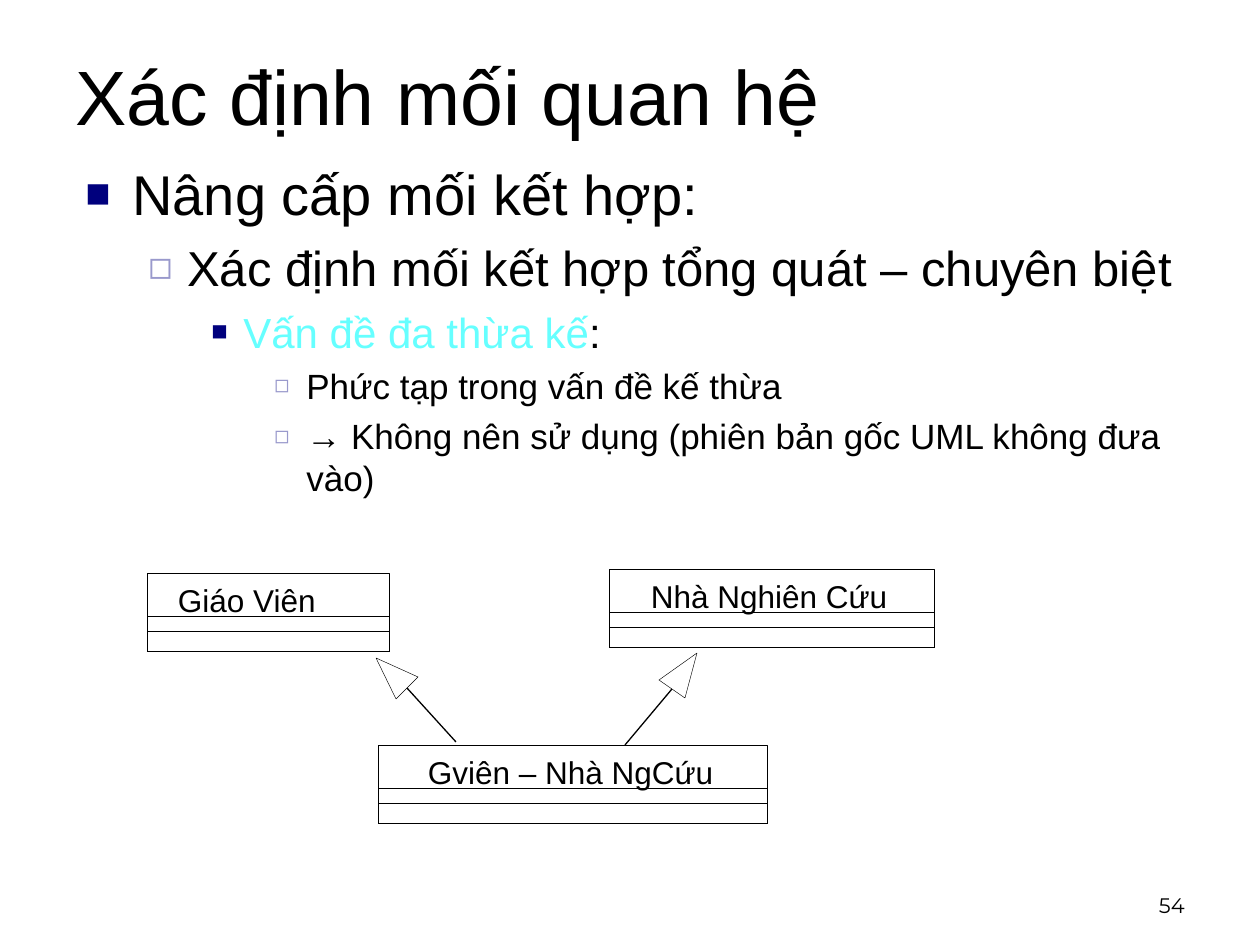
"""Builds a slide on multiple inheritance with a small UML class diagram."""
from lxml.etree import SubElement
from pptx import Presentation
from pptx.dml.color import RGBColor
from pptx.enum.shapes import MSO_CONNECTOR, MSO_SHAPE
from pptx.enum.text import MSO_ANCHOR, PP_ALIGN
from pptx.oxml.ns import qn
from pptx.util import Emu, Pt

BLACK = RGBColor(0x00, 0x00, 0x00)
WHITE = RGBColor(0xFF, 0xFF, 0xFF)
NAVY = RGBColor(0x00, 0x00, 0x7D)
LAVENDER = RGBColor(0x99, 0x99, 0xCC)
CYAN = RGBColor(0x66, 0xFF, 0xFF)


def px(length):
    return Emu(round(length * 914400 / 126))


def add_text(page, bounds, paragraphs, size, font="Arial", anchor=MSO_ANCHOR.TOP, inset=True):
    box = page.shapes.add_textbox(*map(px, bounds))
    frame = box.text_frame
    frame.word_wrap = True
    frame.vertical_anchor = anchor
    if not inset:
        frame.margin_left = frame.margin_right = frame.margin_top = frame.margin_bottom = 0
    for index, spans in enumerate(paragraphs):
        para = frame.paragraphs[0] if index == 0 else frame.add_paragraph()
        for text, color in spans:
            span = para.add_run()
            span.text = text
            span.font.name = font
            span.font.size = Pt(size)
            span.font.color.rgb = color
    return frame


deck = Presentation()
deck.slide_width, deck.slide_height = px(1260), px(945)
page = deck.slides.add_slide(deck.slide_layouts[6])

add_text(page, (63, 0, 1134, 189), [[("Xác định mối quan hệ", BLACK)]], 44, anchor=MSO_ANCHOR.MIDDLE)

outline = [
    (0, [("Nâng cấp mối kết hợp:", BLACK)], 75),
    (1, [("Xác định mối kết hợp tổng quát – chuyên biệt", BLACK)], 80),
    (2, [("Vấn đề đa thừa kế", CYAN), (":", BLACK)], 65),
    (3, [("Phức tạp trong vấn đề kế thừa", BLACK)], 70),
    (3, [("→ Không nên sử dụng (phiên bản gốc UML không đưa vào)", BLACK)], 70),
]
levels = [(32, 47, 47), (28, 102, 39), (24, 158, 32), (20, 221, 32)]
body = add_text(page, (73, 153, 1134, 618), [spans for _, spans, _ in outline], 20)
for index, (para, (level, _, bullet_size)) in enumerate(zip(body.paragraphs, outline)):
    size, margin, hanging = levels[level]
    para.level = level
    para.space_before = Pt(0 if index == 0 else round(size * 0.23, 1))
    for span in para.runs:
        span.font.size = Pt(size)
    properties = para._p.get_or_add_pPr()
    properties.set("marL", str(px(margin)))
    properties.set("indent", str(px(-hanging)))
    bullet_color = SubElement(properties, qn("a:buClr"))
    SubElement(bullet_color, qn("a:srgbClr"), val=str(LAVENDER if level % 2 else NAVY))
    SubElement(properties, qn("a:buSzPct"), val=str(bullet_size * 1000))
    SubElement(properties, qn("a:buFont"), typeface="Arial")
    SubElement(properties, qn("a:buChar"), char="◻" if level % 2 else "■")

number = add_text(page, (903, 861, 294, 63), [[("54", BLACK)]], 12, "Montserrat", MSO_ANCHOR.BOTTOM)
number.paragraphs[0].alignment = PP_ALIGN.RIGHT

classes = [
    ("Giáo Viên", 147, 573, 242, 178, 179),
    ("Nhà Nghiên Cứu", 609, 569, 325, 651, 241),
    ("Gviên – Nhà NgCứu", 378, 745, 389, 428, 288),
]
for name, left, top, width, name_left, name_width in classes:
    for offset in (0, 43, 58):
        compartment = page.shapes.add_shape(
            MSO_SHAPE.RECTANGLE, px(left), px(top + offset), px(width), px(78 - offset))
        compartment.shadow.inherit = False
        compartment.fill.background()
        compartment.line.color.rgb = BLACK
        compartment.line.width = Pt(0.2)
    add_text(page, (name_left, top + 8, name_width, 38), [[(name, BLACK)]], 18, inset=False)

generalizations = [
    ([(697, 653), (685, 698), (659, 680)], (672, 689), (625, 745)),
    ([(376, 658), (418, 677), (396, 699)], (407, 688), (456, 742)),
]
for (tip, *base), start, end in generalizations:
    builder = page.shapes.build_freeform(px(tip[0]), px(tip[1]))
    builder.add_line_segments([(px(x), px(y)) for x, y in base], close=True)
    arrowhead = builder.convert_to_shape()
    arrowhead.shadow.inherit = False
    arrowhead.fill.solid()
    arrowhead.fill.fore_color.rgb = WHITE
    arrowhead.line.color.rgb = BLACK
    arrowhead.line.width = Pt(0.25)
    stem = page.shapes.add_connector(MSO_CONNECTOR.STRAIGHT, *map(px, start + end))
    stem.line.color.rgb = BLACK
    stem.line.width = Pt(0.75)
    SubElement(stem._element.spPr, qn("a:effectLst"))

deck.save("out.pptx")
